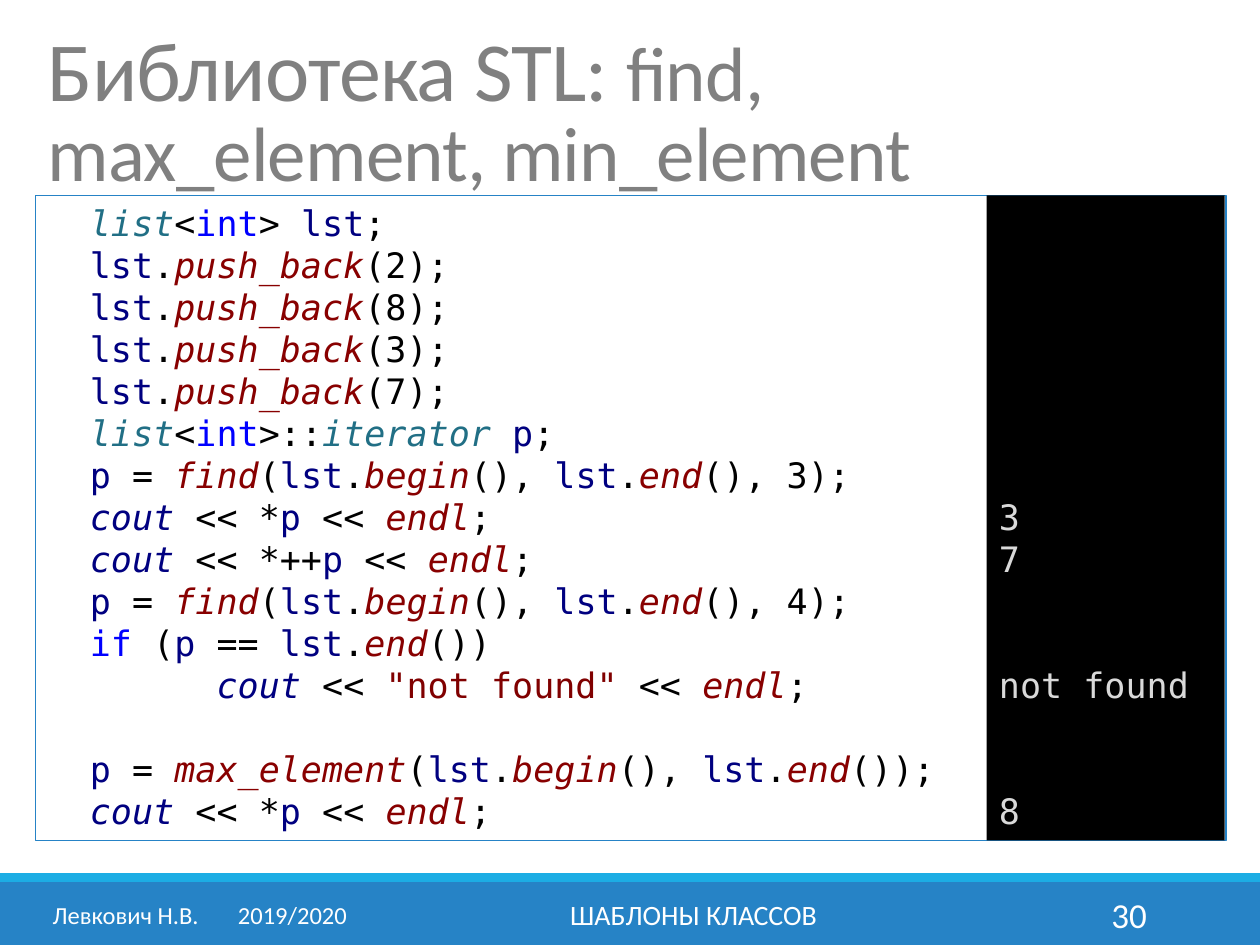
import itertools

import pptx
import pptx.dml.color
import pptx.enum.shapes
import pptx.enum.text
import pptx.oxml
import pptx.oxml.ns
import pptx.util

Inches = pptx.util.Inches
Pt = pptx.util.Pt
ALIGN = pptx.enum.text.PP_ALIGN
ANCHOR = pptx.enum.text.MSO_ANCHOR

STEP = 24
CODE = """\
  list<int> lst;
  lst.push_back(2);
  lst.push_back(8);
  lst.push_back(3);
  lst.push_back(7);
  list<int>::iterator p;
  p = find(lst.begin(), lst.end(), 3);
  cout << *p << endl;
  cout << *++p << endl;
  p = find(lst.begin(), lst.end(), 4);
  if (p == lst.end())
        cout << "not found" << endl;

  p = max_element(lst.begin(), lst.end());
  cout << *p << endl;"""
OUTPUT = {7: "3", 8: "7", 11: "not found", 14: "8"}

KINDS = [
    ("list iterator", "216F85", True),
    ("int if", "0000FF", False),
    ("lst p", "000080", False),
    ("cout", "000080", True),
    ("push_back find begin end endl max_element", "880000", True),
]
WORDS = {word: (tint, slant) for names, tint, slant in KINDS for word in names.split()}
PLAIN = ("000000", False)
QUOTED = ("800000", False)


def color(code):
    return pptx.dml.color.RGBColor.from_string(code)


def assign(target, values):
    for name, value in values.items():
        setattr(target, name, value)


def tokens(line):
    for index, part in enumerate(line.split('"')):
        if index % 2:
            yield f'"{part}"', *QUOTED
            continue
        for _, group in itertools.groupby(part, lambda c: c.isalnum() or c == "_"):
            text = "".join(group)
            yield text, *WORDS.get(text, PLAIN)


class Deck:
    sans = "Calibri"
    mono = "DejaVu Sans Mono"
    blue = "2683C6"

    def __init__(self, show):
        self.slide = show.slides.add_slide(show.slide_layouts[5])

    def run(self, para, text, size, tint, **style):
        run = para.add_run()
        run.text = text
        assign(run.font, {"name": self.sans, "size": Pt(size), **style})
        run.font.color.rgb = color(tint)
        return run

    def rect(self, box, fill=None, line=None):
        kind = pptx.enum.shapes.MSO_SHAPE.RECTANGLE
        shape = self.slide.shapes.add_shape(kind, *map(Inches, box))
        shape.shadow.inherit = False
        if fill:
            shape.fill.solid()
            shape.fill.fore_color.rgb = color(fill)
        else:
            shape.fill.background()
        if line:
            shape.line.color.rgb = color(line)
            shape.line.width = Pt(0.75)
        else:
            shape.line.fill.background()
        return shape

    def title(self, box, lines):
        shape = self.slide.shapes.title
        assign(shape, dict(zip(("left", "top", "width", "height"), map(Inches, box))))
        assign(shape.text_frame, {
            "auto_size": pptx.enum.text.MSO_AUTO_SIZE.NONE,
            "vertical_anchor": ANCHOR.TOP,
        })
        para = shape.text_frame.paragraphs[0]
        assign(para, {"alignment": ALIGN.LEFT, "line_spacing": 0.85})
        for index, line in enumerate(lines):
            if index:
                para.add_line_break()
            for text, size in line:
                run = self.run(para, text, size, "808080")
                run.font._element.set("spc", "-50")

    def label(self, box, text, size, align, tab=None):
        frame = self.slide.shapes.add_textbox(*map(Inches, box)).text_frame
        assign(frame, {"word_wrap": True, "vertical_anchor": ANCHOR.MIDDLE})
        para = frame.paragraphs[0]
        para.alignment = align
        if tab:
            space = pptx.oxml.ns.nsdecls("a")
            para._p.get_or_add_pPr().append(pptx.oxml.parse_xml(
                f'<a:tabLst {space}><a:tab pos="{Inches(tab)}" algn="l"/></a:tabLst>'))
        self.run(para, text, size, "FFFFFF")

    def listing(self, shape, rows):
        frame = shape.text_frame
        first = min(rows)
        assign(frame, {
            "word_wrap": False,
            "vertical_anchor": ANCHOR.TOP,
            "margin_top": Inches(0.05) + Pt(first * STEP),
        })
        last = first - 1
        for row, parts in rows.items():
            para = frame.paragraphs[0] if row == first else frame.add_paragraph()
            assign(para, {
                "alignment": ALIGN.LEFT,
                "line_spacing": Pt(STEP),
                "space_before": Pt((row - last - 1) * STEP),
            })
            for text, tint, slant in parts:
                self.run(para, text, 20, tint, name=self.mono, italic=slant)
            last = row


def main():
    show = pptx.Presentation()
    assign(show, {"slide_width": Inches(10), "slide_height": Inches(7.5)})
    deck = Deck(show)

    deck.rect((0, 7, 10, 0.5), deck.blue)
    deck.rect((0, 6.93, 10, 0.07), "1CADE4")
    deck.title((0.28, 0.21, 9.45, 1.42), [
        [("Библиотека STL: ", 48), ("find,", 44)],
        [("max_element, min_element", 44)],
    ])
    deck.label((0.32, 7.06, 2.61, 0.4), "Левкович Н.В. \t2019/2020", 14, ALIGN.LEFT, 1.47)
    deck.label((3.02, 7.06, 4.97, 0.4), "ШАБЛОНЫ КЛАССОВ", 16, ALIGN.CENTER)
    deck.label((8.12, 7.06, 1.08, 0.4), "30", 20, ALIGN.RIGHT)

    code = {row: tokens(line) for row, line in enumerate(CODE.splitlines()) if line}
    deck.listing(deck.rect((0.28, 1.55, 9.45, 5.12), line=deck.blue), code)
    result = {row: [(text, "D9D9D9", False)] for row, text in OUTPUT.items()}
    deck.listing(deck.rect((7.83, 1.55, 1.89, 5.12), "000000"), result)

    show.save("out.pptx")


if __name__ == "__main__":
    main()
